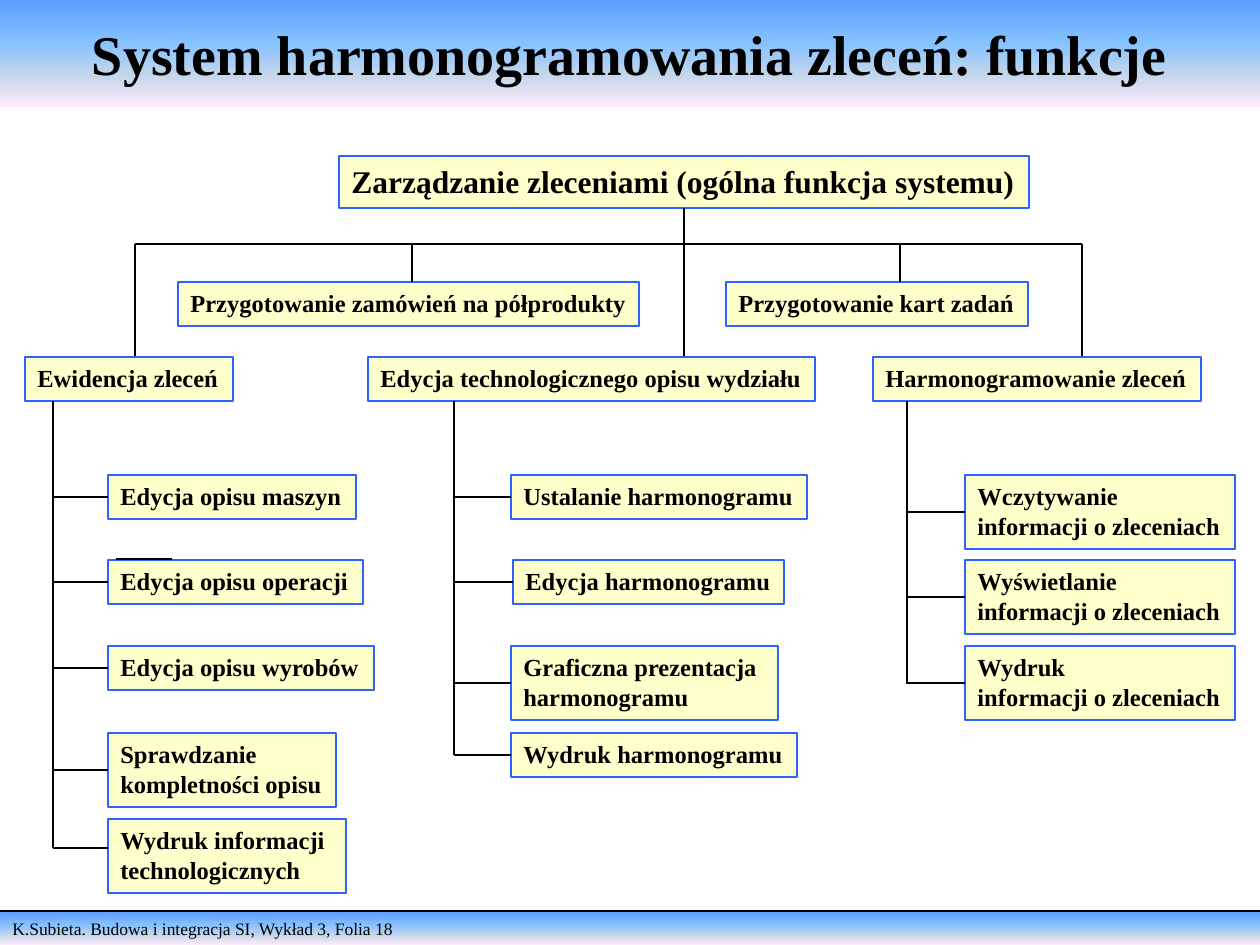
import pptx
import pptx.util
import pptx.dml.color
import pptx.enum.shapes
import pptx.enum.text
import pptx.oxml.ns
from lxml import etree

PX = 914400 // 126
FONT = "Times New Roman"
RGB = pptx.dml.color.RGBColor
BLACK = RGB(0x00, 0x00, 0x00)
CREAM = RGB(0xFF, 0xFF, 0xCC)
BLUE = RGB(0x2F, 0x61, 0xFF)
SKY = ((0, RGB(0x5E, 0x9E, 0xFF)), (40, RGB(0x85, 0xC2, 0xFF)),
       (70, RGB(0xC4, 0xD6, 0xEB)), (100, RGB(0xFF, 0xEB, 0xFA)))
SHAPE = pptx.enum.shapes.MSO_SHAPE
ANCHOR = pptx.enum.text.MSO_ANCHOR
ALIGN = pptx.enum.text.PP_ALIGN
LEFT, BOTTOM = 1, 2

TITLE = "System harmonogramowania zleceń: funkcje"
FOOTER = "K.Subieta. Budowa i integracja SI, Wykład 3, Folia 18"
ROOT = ("Zarządzanie zleceniami (ogólna funkcja systemu)", 339, 156, 690, 52)

# text, left, width, x of the line from the bus
PREPARATIONS = [
    ("Przygotowanie zamówień na półprodukty", 178, 461, 412),
    ("Przygotowanie kart zadań", 726, 302, 900),
]
# main function, with its subfunctions as (text, left, width)
FUNCTIONS = [
    dict(text="Ewidencja zleceń", left=25, width=208, drop=135,
         trunk=53, trunk_end=848, children=[
             ("Edycja opisu maszyn", 108, 248),
             ("Edycja opisu operacji", 108, 255),
             ("Edycja opisu wyrobów", 108, 266),
             ("Sprawdzanie\nkompletności opisu", 108, 228),
             ("Wydruk informacji\ntechnologicznych", 108, 238)]),
    dict(text="Edycja technologicznego opisu wydziału", left=368, width=447, drop=684,
         trunk=454, trunk_end=755, children=[
             ("Ustalanie harmonogramu", 511, 296),
             ("Edycja harmonogramu", 513, 271),
             ("Graficzna prezentacja\nharmonogramu", 511, 267),
             ("Wydruk harmonogramu", 511, 286)]),
    dict(text="Harmonogramowanie zleceń", left=873, width=328, drop=1082,
         trunk=907, trunk_end=684, children=[
             ("Wczytywanie\ninformacji o zleceniach", 965, 270),
             ("Wyświetlanie\ninformacji o zleceniach", 965, 270),
             ("Wydruk\ninformacji o zleceniach", 965, 270)]),
]
BUS_Y, PREPARATION_Y, FUNCTION_Y = 244, 282, 357
CHILD_ROWS = (475, 560, 646, 733, 819)
ONE_LINE, TWO_LINES = 44, 74
STRAY_LINE = (116, 559, 172, 559)

deck = pptx.Presentation()
deck.slide_width, deck.slide_height = 1260 * PX, 945 * PX
page = deck.slides.add_slide(deck.slide_layouts[6])


def write(shape, text, size, bold=True, align=ALIGN.LEFT, anchor=ANCHOR.TOP, wrap=False):
    frame = shape.text_frame
    frame.word_wrap = wrap
    frame.vertical_anchor = anchor
    frame.text = text
    for para in frame.paragraphs:
        para.alignment = align
        for span in para.runs:
            span.font.name = FONT
            span.font.size = pptx.util.Pt(size)
            span.font.bold = bold
            span.font.color.rgb = BLACK


def add_plain(kind, left, top, width, height):
    shape = page.shapes.add_shape(kind, left * PX, top * PX, width * PX, height * PX)
    shape.shadow.inherit = False
    return shape


def add_band(top, height):
    """Full-width bar shaded from sky blue at the top to pale pink."""
    band = add_plain(SHAPE.RECTANGLE, 0, top, 1260, height)
    band.line.fill.background()
    band.fill.gradient()
    qn = pptx.oxml.ns.qn
    gradient = band._element.spPr.find(qn("a:gradFill"))
    for child in list(gradient):
        gradient.remove(child)
    stops = etree.SubElement(gradient, qn("a:gsLst"))
    for position, colour in SKY:
        stop = etree.SubElement(stops, qn("a:gs"), pos=str(position * 1000))
        etree.SubElement(stop, qn("a:srgbClr"), val=str(colour))
    etree.SubElement(gradient, qn("a:lin"), ang="5400000", scaled="0")
    return band


def box_height(text):
    return TWO_LINES if "\n" in text else ONE_LINE


def add_box(text, left, top, width, height=None, size=14):
    box = add_plain(SHAPE.ROUNDED_RECTANGLE, left, top, width, height or box_height(text))
    box.adjustments[0] = 0
    box.fill.solid()
    box.fill.fore_color.rgb = CREAM
    box.line.color.rgb = BLUE
    box.line.width = pptx.util.Pt(1)
    write(box, text, size)
    box.text_frame.auto_size = pptx.enum.text.MSO_AUTO_SIZE.SHAPE_TO_FIT_TEXT
    return box


def add_line(x1, y1, x2, y2):
    line = page.shapes.add_connector(pptx.enum.shapes.MSO_CONNECTOR.STRAIGHT,
                                     x1 * PX, y1 * PX, x2 * PX, y2 * PX)
    line.line.color.rgb = BLACK
    line.line.width = pptx.util.Pt(1)
    etree.SubElement(line._element.spPr, pptx.oxml.ns.qn("a:effectLst"))
    return line


def add_branches(trunk, trunk_end, children):
    """Vertical trunk with one horizontal branch to each subfunction."""
    add_line(trunk, FUNCTION_Y + ONE_LINE, trunk, trunk_end)
    for (text, left, width), top in zip(children, CHILD_ROWS):
        box = add_box(text, left, top, width)
        middle = top + box_height(text) // 2
        y = min(middle, trunk_end)
        branch = add_line(trunk, y, left, y)
        if y == middle:
            branch.end_connect(box, LEFT)


write(add_band(912, 33), FOOTER, 10, bold=False, wrap=True)
add_line(0, 911, 1260, 911)
write(add_band(0, 107), TITLE, 32, align=ALIGN.CENTER, anchor=ANCHOR.MIDDLE, wrap=True)

root = add_box(*ROOT, size=18)
root_bottom = ROOT[2] + ROOT[4]
drops = [function["drop"] for function in FUNCTIONS]
add_line(drops[0], BUS_Y, drops[-1], BUS_Y)
add_line(drops[1], root_bottom, drops[1], FUNCTION_Y).begin_connect(root, BOTTOM)
for drop in (drops[0], drops[-1]):
    add_line(drop, BUS_Y, drop, FUNCTION_Y)

for text, left, width, drop in PREPARATIONS:
    add_box(text, left, PREPARATION_Y, width)
    add_line(drop, BUS_Y, drop, PREPARATION_Y)

for function in FUNCTIONS:
    add_box(function["text"], function["left"], FUNCTION_Y, function["width"])
    add_branches(function["trunk"], function["trunk_end"], function["children"])

add_line(*STRAY_LINE)
deck.save("out.pptx")
